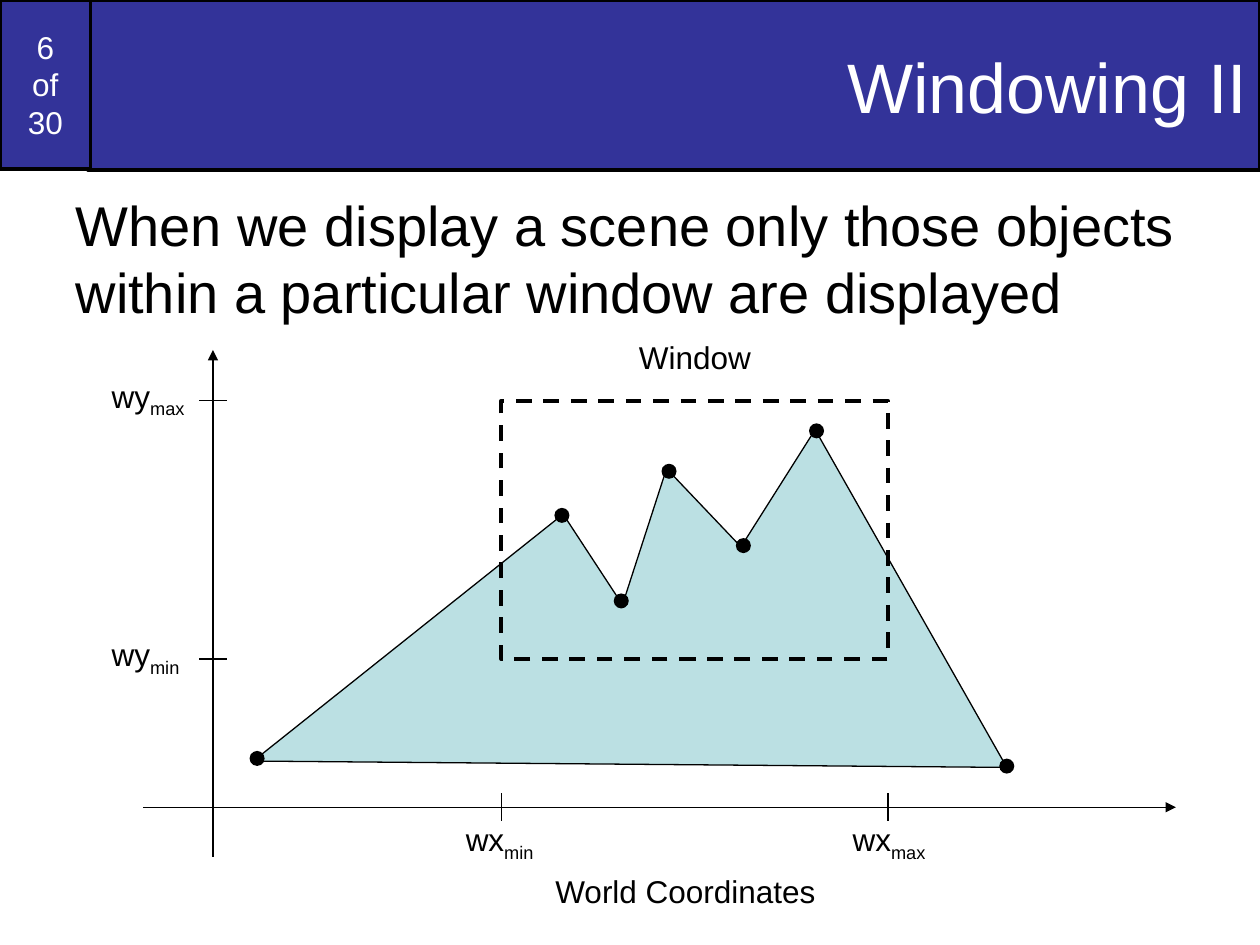
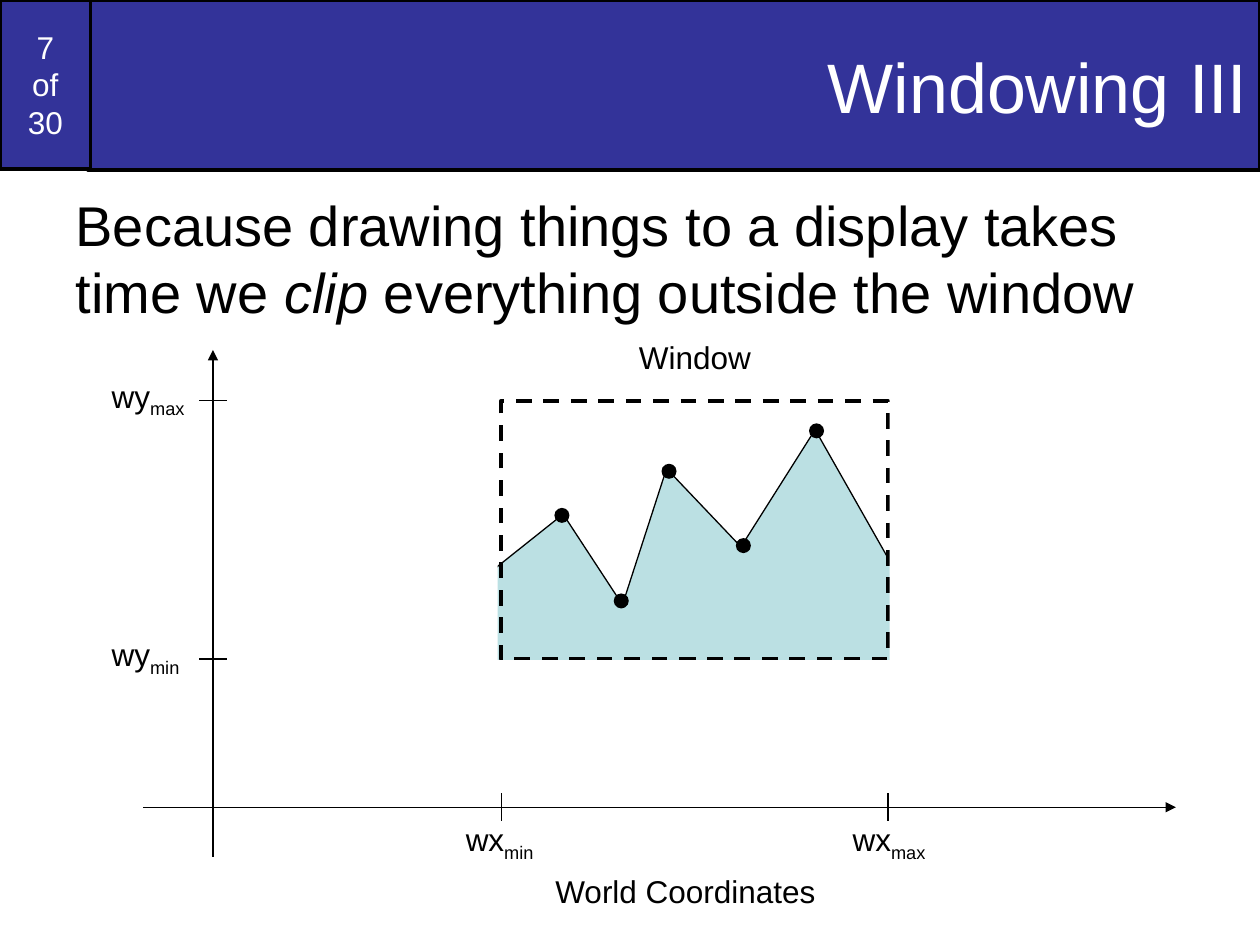
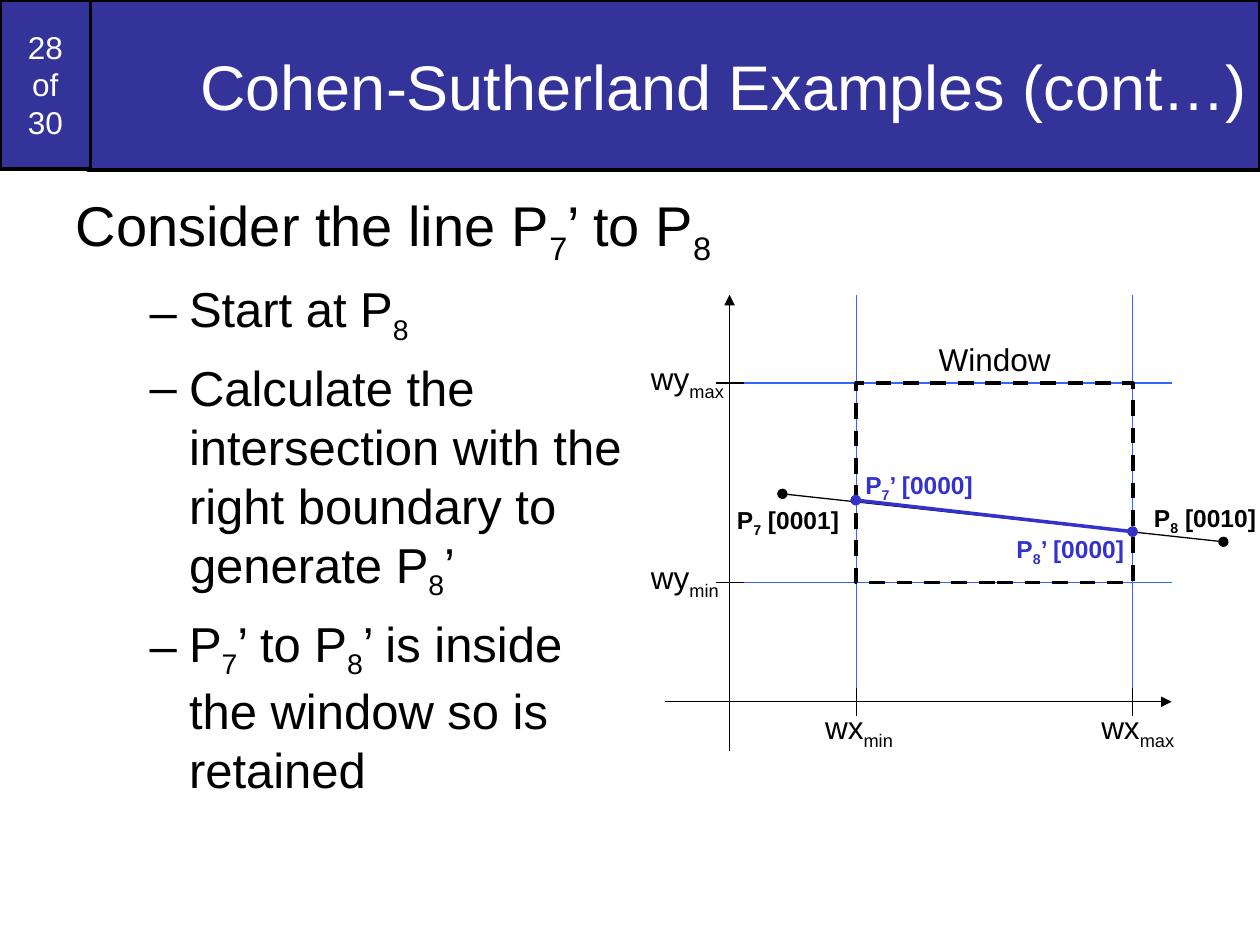
from collections import namedtuple

from lxml.etree import SubElement
from pptx import Presentation
from pptx.dml.color import RGBColor
from pptx.enum.dml import MSO_LINE
from pptx.enum.shapes import MSO_CONNECTOR, MSO_SHAPE
from pptx.enum.text import MSO_ANCHOR, MSO_AUTO_SIZE, PP_ALIGN
from pptx.oxml.ns import qn
from pptx.util import Pt

# Shared look
FONT = "Arial"
BLACK, WHITE = "000000", "FFFFFF"
BAND, MOUNTAIN, GUIDE, CLIPPED = "333399", "BBE0E3", "3366FF", "3333CC"
THIN = 0.75
TICK = 8
SLIDE_TOTAL = 30

Box = namedtuple("Box", "left top width height")
# Label offsets: wy from the y axis, wx from its tick and the x axis, caption above the window
Plot = namedtuple("Plot", "origin window wy_left wx_left wx_top caption_rise")

NUMBER_BOX = Box(0, 0, 51.8, 96.5)
TITLE_BOX = Box(50.4, 0, 669.6, 97.2)
SHORT_BODY = Box(36, 105, 648, 103)
TALL_BODY = Box(36, 105, 648, 435)

WORLD_BOX = Box(82, 200, 590, 289.5)
WORLD_PLOT = Plot((39.7, 261.3), Box(204.5, 29, 221, 147.6), -65, -27.4, 3.6, 39.6)
EXAMPLE_BOX = Box(380, 168.5, 289.5, 260.5)
EXAMPLE_PLOT = Plot((36.9, 232.5), Box(109.4, 50.4, 157.8, 114), -52, -25, 0, 28.1)

# Mountain outline and its vertex dots, relative to the world box
OUTLINE = [(62.7, 234.9), (239.8, 93.8), (273.7, 145.6), (298.9, 67.8),
           (341.4, 112.5), (383.8, 45.5), (493.3, 238.5)]
VERTICES = [(64.9, 233.4), (239.1, 94.5), (273, 143.4), (300.3, 69.3),
            (342.8, 111.8), (384.6, 46.2), (493.3, 237.8)]
MASKS = [Box(57, -33.7, 145.4, 283.7), Box(426.3, -38.7, 145.4, 283.7),
         Box(118.9, 177.3, 357.1, 67)]


# Basic helpers
def color(hex_value):
    return RGBColor.from_string(hex_value)


def paint(shape, fill=None, line=None, width=THIN):
    if fill:
        shape.fill.solid()
        shape.fill.fore_color.rgb = color(fill)
    else:
        shape.fill.background()
    if line:
        shape.line.color.rgb = color(line)
        shape.line.width = Pt(width)
    else:
        shape.line.fill.background()


def place(shape, box):
    shape.left, shape.top, shape.width, shape.height = (Pt(value) for value in box)


def inside(outer, inner):
    return Box(outer.left + inner.left, outer.top + inner.top, inner.width, inner.height)


def add_preset(slide, kind, box, fill=None, line=None, width=THIN):
    shape = slide.shapes.add_shape(kind, *(Pt(value) for value in box))
    shape.shadow.inherit = False
    paint(shape, fill, line, width)
    return shape


def add_dot(slide, box, center, size, fill):
    x, y = center
    dot = Box(x - size / 2, y - size / 2, size, size)
    add_preset(slide, MSO_SHAPE.OVAL, inside(box, dot), fill)


def add_line(slide, box, start, end, line=BLACK, width=THIN, head=None, tail=None):
    ends = [Pt(offset + value) for point in (start, end)
            for offset, value in zip((box.left, box.top), point)]
    connector = slide.shapes.add_connector(MSO_CONNECTOR.STRAIGHT, *ends)
    connector.line.color.rgb = color(line)
    connector.line.width = Pt(width)
    properties = connector.element.spPr
    for tag, kind in (("a:headEnd", head), ("a:tailEnd", tail)):
        if kind:
            SubElement(properties.find(qn("a:ln")), qn(tag), type=kind)
    SubElement(properties, qn("a:effectLst"))


def write(paragraph, text, size, hex_value=BLACK, bold=False, mark="subscript"):
    """Pieces between bars take the mark: subscript or italic."""
    for index, piece in enumerate(text.split("|")):
        for line_index, line in enumerate(piece.split("\n")):
            if line_index:
                paragraph.add_line_break()
            run = paragraph.add_run()
            run.text = line
            run.font.name, run.font.size, run.font.bold = FONT, Pt(size), bold
            run.font.color.rgb = color(hex_value)
            if index % 2 and mark == "italic":
                run.font.italic = True
            elif index % 2:
                run.font._element.set("baseline", "-25000")


def add_label(slide, box, text, left, top, width, height=31.7, size=18,
              hex_value=BLACK, bold=False):
    label_box = inside(box, Box(left, top, width, height))
    label = slide.shapes.add_textbox(*(Pt(value) for value in label_box))
    label.text_frame.word_wrap = False
    label.text_frame.auto_size = MSO_AUTO_SIZE.SHAPE_TO_FIT_TEXT
    write(label.text_frame.paragraphs[0], text, size, hex_value, bold)


# Title band with slide number
def add_header(slide, number, title_text, title_size):
    title = slide.shapes.title
    place(title, TITLE_BOX)
    paint(title, BAND, BLACK, 2)
    number_shape = add_preset(slide, MSO_SHAPE.RECTANGLE, NUMBER_BOX, BAND, BLACK, 2)
    for shape, text, size, alignment in (
            (title, title_text, title_size, PP_ALIGN.RIGHT),
            (number_shape, f"{number}\nof\n{SLIDE_TOTAL}", 18, PP_ALIGN.CENTER)):
        frame = shape.text_frame
        frame.auto_size = MSO_AUTO_SIZE.NONE
        frame.vertical_anchor = MSO_ANCHOR.MIDDLE
        frame.paragraphs[0].alignment = alignment
        write(frame.paragraphs[0], text, size, WHITE)


# Body list: the first entry is plain, the rest are dashed points
def add_body(slide, box, lead, points=(), mark="subscript"):
    body = slide.placeholders[1]
    place(body, box)
    frame = body.text_frame
    frame.auto_size = MSO_AUTO_SIZE.NONE
    frame.vertical_anchor = MSO_ANCHOR.TOP
    paragraph = frame.paragraphs[0]
    paragraph.space_before = Pt(8)
    properties = paragraph._p.get_or_add_pPr()
    properties.set("marL", "0")
    properties.set("indent", "0")
    SubElement(properties, qn("a:buNone"))
    write(paragraph, lead, 32, mark=mark)
    for point in points:
        paragraph = frame.add_paragraph()
        paragraph.level = 1
        paragraph.space_before = Pt(7)
        properties = paragraph._p.get_or_add_pPr()
        properties.set("marL", str(Pt(64.8)))
        properties.set("indent", str(Pt(-22.5)))
        write(paragraph, point, 28)
    return body


# Axes and dashed window
def add_axes(slide, box, plot):
    x_axis, y_axis = plot.origin[1], plot.origin[0]
    add_line(slide, box, (0, x_axis), (box.width, x_axis), tail="triangle")
    add_line(slide, box, (y_axis, box.height), (y_axis, 0), tail="triangle")
    window = add_preset(slide, MSO_SHAPE.RECTANGLE, inside(box, plot.window),
                        line=BLACK, width=2.25)
    window.line.dash_style = MSO_LINE.DASH


# Ticks with their labels, and the window caption
def add_scale(slide, box, plot):
    y_axis, x_axis = plot.origin
    window = plot.window
    for name, width, x, y in (
            ("min", 53.3, window.left, window.top + window.height),
            ("max", 56.2, window.left + window.width, window.top)):
        add_line(slide, box, (y_axis + TICK, y), (y_axis - TICK, y))
        add_line(slide, box, (x, x_axis - TICK), (x, x_axis + TICK))
        add_label(slide, box, f"wy|{name}", y_axis + plot.wy_left, y - 17.3, width)
        add_label(slide, box, f"wx|{name}", x + plot.wx_left, x_axis + plot.wx_top, width)
    add_label(slide, box, "Window", window.left + window.width / 2 - 39,
              window.top - plot.caption_rise, 78.5, 28.8)


def add_mountain(slide, box):
    points = [(Pt(box.left + x), Pt(box.top + y)) for x, y in OUTLINE]
    builder = slide.shapes.build_freeform(*points[0])
    builder.add_line_segments(points[1:], close=True)
    mountain = builder.convert_to_shape()
    mountain.shadow.inherit = False
    paint(mountain, MOUNTAIN, BLACK)


# World figure, whole or clipped to the window
def add_world(slide, box, clipped):
    add_mountain(slide, box)
    add_axes(slide, box, WORLD_PLOT)
    if clipped:
        for mask in MASKS:
            add_preset(slide, MSO_SHAPE.RECTANGLE, inside(box, mask), WHITE)
    for vertex in VERTICES[1:-1] if clipped else VERTICES:
        add_dot(slide, box, vertex, 8.6, BLACK)
    add_scale(slide, box, WORLD_PLOT)
    add_label(slide, box, "World Coordinates", 228.3, 294.6, 163.4, 28.8)


# Line from P7 to P8, clipped at both window sides
def add_clipping_example(slide, box):
    window = EXAMPLE_PLOT.window
    for x in (window.left, window.left + window.width):
        add_line(slide, box, (x, 0), (x, 228), GUIDE)
    for y in (window.top, window.top + window.height):
        add_line(slide, box, (box.width, y), (42, y), GUIDE)
    add_axes(slide, box, EXAMPLE_PLOT)
    add_scale(slide, box, EXAMPLE_PLOT)
    add_line(slide, box, (67.1, 113.7), (319.1, 141.1), head="oval", tail="oval")
    crossings = [(109, 117.3), (267.2, 135.3)]
    add_line(slide, box, *crossings, CLIPPED, 2, "oval", "oval")
    for crossing in crossings:
        add_dot(slide, box, crossing, 5.8, CLIPPED)
    for text, left, top, width, hex_value in (
            ("P|7|’ [0000]", 107.4, 96.5, 76.3, CLIPPED),
            ("P|7| [0001]", 34, 116.6, 72.7, BLACK),
            ("P|8| [0010]", 272.3, 115.2, 72.7, BLACK),
            ("P|8|’ [0000]", 193.8, 133.2, 76.3, CLIPPED)):
        add_label(slide, box, text, left, top, width, 26.6, 14, hex_value, True)


# Slides
def add_slide(presentation, number, title, title_size=40):
    slide = presentation.slides.add_slide(presentation.slide_layouts[1])
    add_header(slide, number, title, title_size)
    return slide


def add_windowing_slide(presentation, number, title, lead, clipped):
    slide = add_slide(presentation, number, title)
    body = add_body(slide, SHORT_BODY, lead, mark="italic")
    add_world(slide, WORLD_BOX, clipped)
    # Keep the text above the masks
    body.element.getparent().append(body.element)


def add_example_slide(presentation):
    slide = add_slide(presentation, 28, "Cohen-Sutherland Examples (cont…)", 36)
    add_body(slide, TALL_BODY, "Consider the line P|7|’ to P|8", [
        "Start at P|8",
        "Calculate the\nintersection with the\nright boundary to\ngenerate P|8|’",
        "P|7|’ to P|8|’ is inside\nthe window so is\nretained",
    ])
    add_clipping_example(slide, EXAMPLE_BOX)


def main():
    presentation = Presentation()
    presentation.slide_width, presentation.slide_height = Pt(720), Pt(540)
    add_windowing_slide(
        presentation, 6, "Windowing II",
        "When we display a scene only those objects within a particular window are displayed",
        clipped=False)
    add_windowing_slide(
        presentation, 7, "Windowing III",
        "Because drawing things to a display takes time we |clip| everything outside the window",
        clipped=True)
    add_example_slide(presentation)
    presentation.save("out.pptx")


if __name__ == "__main__":
    main()
